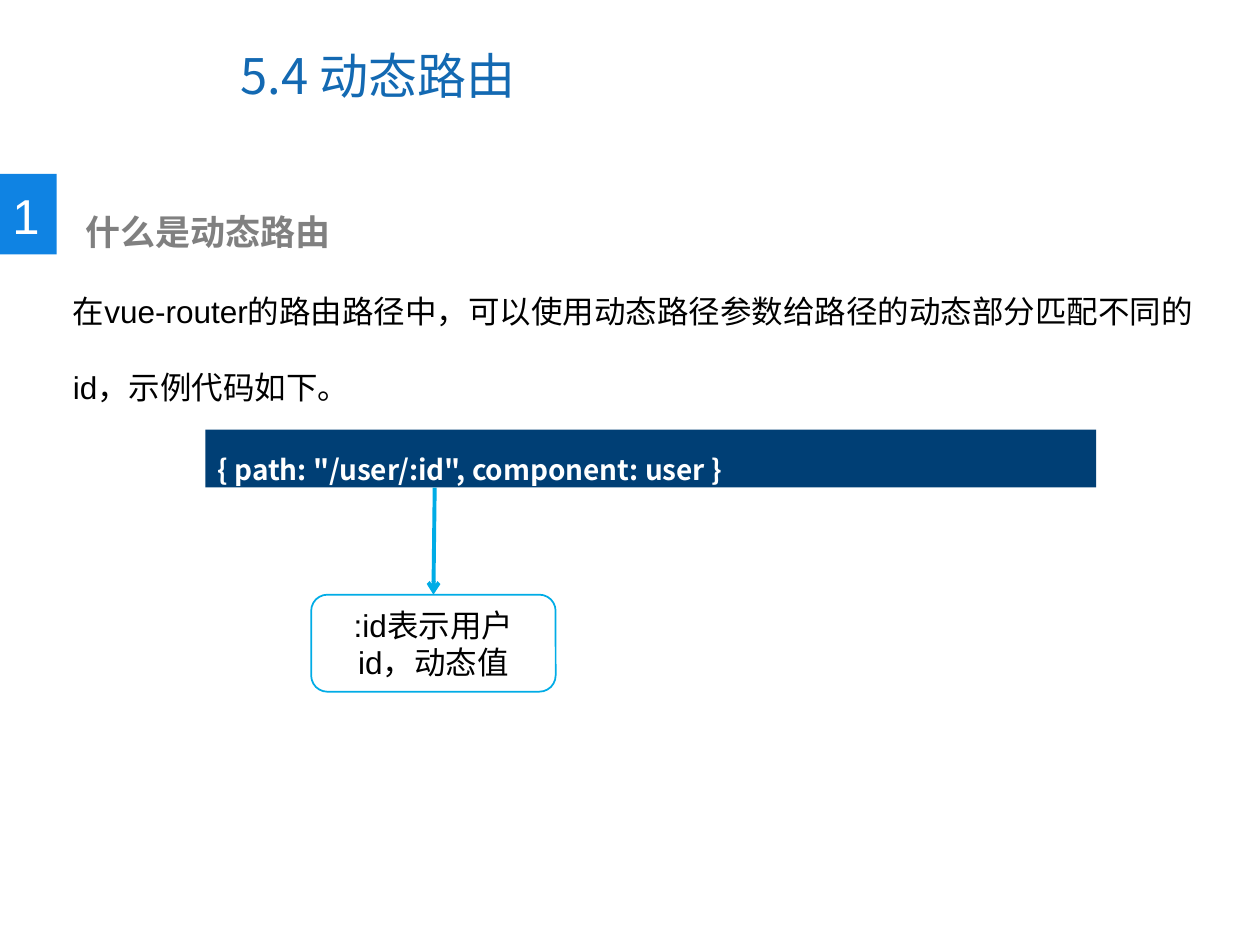
import pptx
import pptx.util
import pptx.dml.color
import pptx.enum.shapes
import pptx.enum.text
import lxml.etree

RGB = pptx.dml.color.RGBColor
TITLE_BLUE = RGB(0x13, 0x69, 0xB2)
BADGE_BLUE = RGB(0x0F, 0x83, 0xE3)
CODE_NAVY = RGB(0x00, 0x3F, 0x75)
CALLOUT_CYAN = RGB(0x00, 0xAC, 0xE6)
GREY = RGB(0x80, 0x80, 0x80)
BLACK = RGB(0, 0, 0)
WHITE = RGB(0xFF, 0xFF, 0xFF)

CJK = "Noto Sans CJK SC"
TITLE = "5.4 动态路由"
NUMBER = "1"
HEADING = "什么是动态路由"
BODY = "在vue-router的路由路径中，可以使用动态路径参数给路径的动态部分匹配不同的id，示例代码如下。"
CODE = '{ path: "/user/:id", component: user }'
CALLOUT = ":id表示用户id，动态值"

CODE_AREA = (1.63, 3.41, 7.07, 0.46)
CALLOUT_AREA = (2.47, 4.72, 1.94, 0.77)

SHAPES = pptx.enum.shapes.MSO_SHAPE
ALIGN = pptx.enum.text.PP_ALIGN
ANCHOR = pptx.enum.text.MSO_ANCHOR


def inches(values):
    return [pptx.util.Inches(value) for value in values]


def write(box, text, size=18, font="Arial", color=BLACK, bold=False,
          align=ALIGN.LEFT, anchor=ANCHOR.TOP, spacing=None, wrap=True):
    frame = box.text_frame
    frame.word_wrap = wrap
    frame.vertical_anchor = anchor
    para = frame.paragraphs[0]
    para.alignment = align
    if spacing:
        para.line_spacing = spacing
    span = para.add_run()
    span.text = text
    span.font.size = pptx.util.Pt(size)
    span.font.name = font
    span.font.bold = bold
    span.font.color.rgb = color
    east_asian = lxml.etree.SubElement(span.font._element, pptx.oxml.ns.qn("a:ea"))
    east_asian.set("typeface", CJK)


def add_text(page, area, text, **style):
    write(page.shapes.add_textbox(*inches(area)), text, **style)


def add_panel(page, kind, area, fill, line=None):
    panel = page.shapes.add_shape(kind, *inches(area))
    panel.shadow.inherit = False
    panel.fill.solid()
    panel.fill.fore_color.rgb = fill
    if line is None:
        panel.line.fill.background()
    else:
        panel.line.color.rgb = line
        panel.line.width = pptx.util.Pt(1)
    return panel


def add_arrow(page, start, end):
    arrow = page.shapes.add_connector(
        pptx.enum.shapes.MSO_CONNECTOR.STRAIGHT, *inches(start + end))
    arrow.line.color.rgb = CALLOUT_CYAN
    arrow.line.width = pptx.util.Pt(2.25)
    qn = pptx.oxml.ns.qn
    lxml.etree.SubElement(arrow.line._get_or_add_ln(), qn("a:tailEnd"), type="arrow")
    lxml.etree.SubElement(arrow._element.spPr, qn("a:effectLst"))


def main():
    deck = pptx.Presentation()
    deck.slide_width, deck.slide_height = inches((10, 7.5))
    page = deck.slides.add_slide(deck.slide_layouts[6])

    add_text(page, (1.81, 0.17, 5.16, 0.85), TITLE, size=28, font=CJK,
             color=TITLE_BLUE, anchor=ANCHOR.MIDDLE)

    add_panel(page, SHAPES.RECTANGLE, (0, 1.38, 0.45, 0.64), BADGE_BLUE)
    add_text(page, (0, 1.42, 0.42, 0.57), NUMBER, size=28, color=WHITE, wrap=False)
    add_text(page, (0.58, 1.62, 5.03, 0.44), HEADING, size=20, color=GREY, bold=True)
    add_text(page, (0.48, 1.97, 9.24, 1.31), BODY, spacing=2)

    code = add_panel(page, SHAPES.RECTANGLE, CODE_AREA, CODE_NAVY)
    write(code, CODE, size=16, font=CJK, color=WHITE, bold=True, spacing=1.5)

    left, top, width, height = CALLOUT_AREA
    center = left + width / 2
    add_arrow(page, (center + 0.01, CODE_AREA[1] + CODE_AREA[3]), (center, top))
    callout = add_panel(page, SHAPES.ROUNDED_RECTANGLE, CALLOUT_AREA, WHITE, CALLOUT_CYAN)
    write(callout, CALLOUT, align=ALIGN.CENTER)

    deck.save("out.pptx")


if __name__ == "__main__":
    main()
